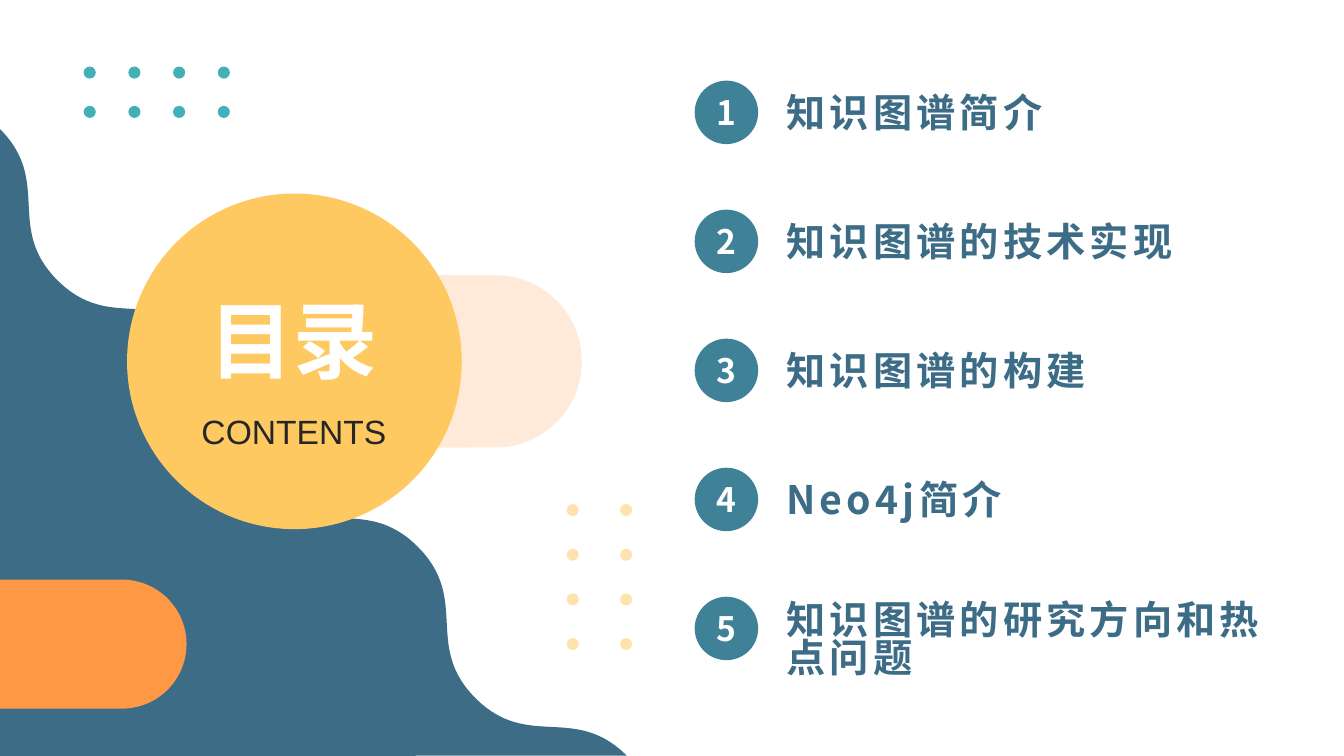
"""Build the contents slide of a knowledge graph talk."""
import pptx
import pptx.dml.color
import pptx.enum.shapes
import pptx.enum.text
import pptx.oxml.ns
import pptx.util
from lxml import etree

Inches = pptx.util.Inches
SHAPE = pptx.enum.shapes.MSO_SHAPE
ALIGN = pptx.enum.text.PP_ALIGN
ANCHOR = pptx.enum.text.MSO_ANCHOR
qn = pptx.oxml.ns.qn

HEADING = "目录"
SUBHEADING = "CONTENTS"
CHAPTERS = [
    ("知识图谱简介", 1.0),
    ("知识图谱的技术实现", 1.0),
    ("知识图谱的构建", 1.0),
    ("Neo4j简介", 1.0),
    ("知识图谱的研究方向和热点问题", 0.8),
]
CHAPTER_TOP, CHAPTER_STEP = 0.8, 1.28
CJK_FONT = "Noto Sans CJK SC"
NAVY, YELLOW, WHITE = "3D6C87", "FFC961", "FFFFFF"

WAVE_TOP, WAVE_SIZE, WAVE_PERIODS = 1.28, 6.22, 3
WAVE_CONTROLS = [
    (0.52, 0.52), (0.05, 0.98), (0.57, 1.5),
    (1.09, 2.02), (1.55, 1.55), (2.07, 2.07),
]

DOT = 0.12
DOT_GRIDS = [
    dict(left=5.62, top=5.0, columns=2, rows=4, width=0.53, height=1.33,
         color=YELLOW, alpha=50),
    dict(left=0.83, top=0.66, columns=4, rows=2, width=1.33, height=0.39,
         color="43AFB6", alpha=100),
]


def paint(shape, color, alpha=100):
    shape.shadow.inherit = False
    shape.line.fill.background()
    shape.fill.solid()
    shape.fill.fore_color.rgb = pptx.dml.color.RGBColor.from_string(color)
    if alpha < 100:
        tint = shape.element.spPr.find(".//" + qn("a:srgbClr"))
        etree.SubElement(tint, qn("a:alpha"), val=str(alpha * 1000))


def add_shape(kind, left, top, width, height, color, alpha=100):
    shape = slide.shapes.add_shape(
        kind, Inches(left), Inches(top), Inches(width), Inches(height))
    paint(shape, color, alpha)
    return shape


def write(shape, text, font, size, color, bold=True, align=ALIGN.CENTER,
          anchor=ANCHOR.TOP, line_spacing=1.0, tracking=0):
    frame = shape.text_frame
    frame.word_wrap = True
    frame.auto_size = pptx.enum.text.MSO_AUTO_SIZE.NONE
    frame.vertical_anchor = anchor
    frame.margin_left = frame.margin_right = frame.margin_top = frame.margin_bottom = 0
    paragraph = frame.paragraphs[0]
    paragraph.alignment = align
    paragraph.line_spacing = line_spacing
    paragraph.space_before = pptx.util.Pt(0)
    run = paragraph.add_run()
    run.text = text
    run.font.size = pptx.util.Pt(size)
    run.font.bold = bold
    run.font.color.rgb = pptx.dml.color.RGBColor.from_string(color)
    run.font.name = font
    properties = run._r.get_or_add_rPr()
    etree.SubElement(properties, qn("a:ea"), typeface=font)
    if tracking:
        properties.set("spc", str(tracking * 100))


def place(placeholder, left, top, width, height):
    placeholder.left, placeholder.top = Inches(left), Inches(top)
    placeholder.width, placeholder.height = Inches(width), Inches(height)
    placeholder.element.getparent().append(placeholder.element)


def bend(shape, curve_count):
    """Turn each leading group of three segments into one Bezier curve."""
    segments = shape.element.findall(".//" + qn("a:lnTo"))
    for start in range(0, curve_count * 3, 3):
        group = segments[start:start + 3]
        curve = etree.Element(qn("a:cubicBezTo"))
        group[0].addprevious(curve)
        for segment in group:
            curve.append(segment[0])
            segment.getparent().remove(segment)


deck = pptx.Presentation()
deck.slide_width, deck.slide_height = Inches(13.33), Inches(7.5)
slide = deck.slides.add_slide(deck.slide_layouts[2])
title, subtitle = slide.placeholders

period = WAVE_SIZE / WAVE_PERIODS
wave_points = [(Inches(x + number * period), Inches(WAVE_TOP + y + number * period))
               for number in range(WAVE_PERIODS) for x, y in WAVE_CONTROLS]
outline = slide.shapes.build_freeform(0, Inches(WAVE_TOP))
outline.add_line_segments(wave_points, close=False)
outline.add_line_segments([(0, Inches(WAVE_TOP + WAVE_SIZE))], close=True)
wave = outline.convert_to_shape()
bend(wave, len(wave_points) // 3)
paint(wave, NAVY)

peach_pill = add_shape(SHAPE.ROUNDED_RECTANGLE, 3.08, 2.73, 2.69, 1.71, "FFEADA")
peach_pill.adjustments[0] = 0.5

for grid in DOT_GRIDS:
    dx = grid["width"] / (grid["columns"] - 1)
    dy = grid["height"] / (grid["rows"] - 1)
    for row in range(grid["rows"]):
        for column in range(grid["columns"]):
            add_shape(SHAPE.OVAL, grid["left"] + column * dx, grid["top"] + row * dy,
                      DOT, DOT, grid["color"], grid["alpha"])

add_shape(SHAPE.OVAL, 1.26, 1.92, 3.32, 3.33, YELLOW)

pill_length, pill_height, pill_top = 1.85, 1.28, 5.75
overhang = (pill_length - pill_height) / 2
orange_pill = add_shape(SHAPE.ROUND_2_SAME_RECTANGLE, overhang, pill_top - overhang,
                        pill_height, pill_length, "FF9845")
orange_pill.adjustments[0] = 0.5
orange_pill.rotation = 90

for index, (chapter, spacing) in enumerate(CHAPTERS):
    top = CHAPTER_TOP + index * CHAPTER_STEP
    badge = add_shape(SHAPE.ROUNDED_RECTANGLE, 6.89, top, 0.63, 0.63, "3F8297")
    badge.adjustments[0] = 0.5
    write(badge, str(index + 1), CJK_FONT, 24, WHITE, anchor=ANCHOR.MIDDLE)
    label = slide.shapes.add_textbox(
        Inches(7.8), Inches(top + 0.08), Inches(5.12), Inches(0.9))
    write(label, chapter, CJK_FONT, 28, NAVY, align=ALIGN.LEFT,
          line_spacing=spacing, tracking=3)

place(title, 1.34, 2.68, 3.15, 1.18)
write(title, HEADING, "Arial", 60, WHITE, anchor=ANCHOR.BOTTOM)
place(subtitle, 1.34, 3.96, 3.15, 0.55)
write(subtitle, SUBHEADING, "Arial", 24, "262626", bold=False, line_spacing=1.3)

deck.save("out.pptx")
